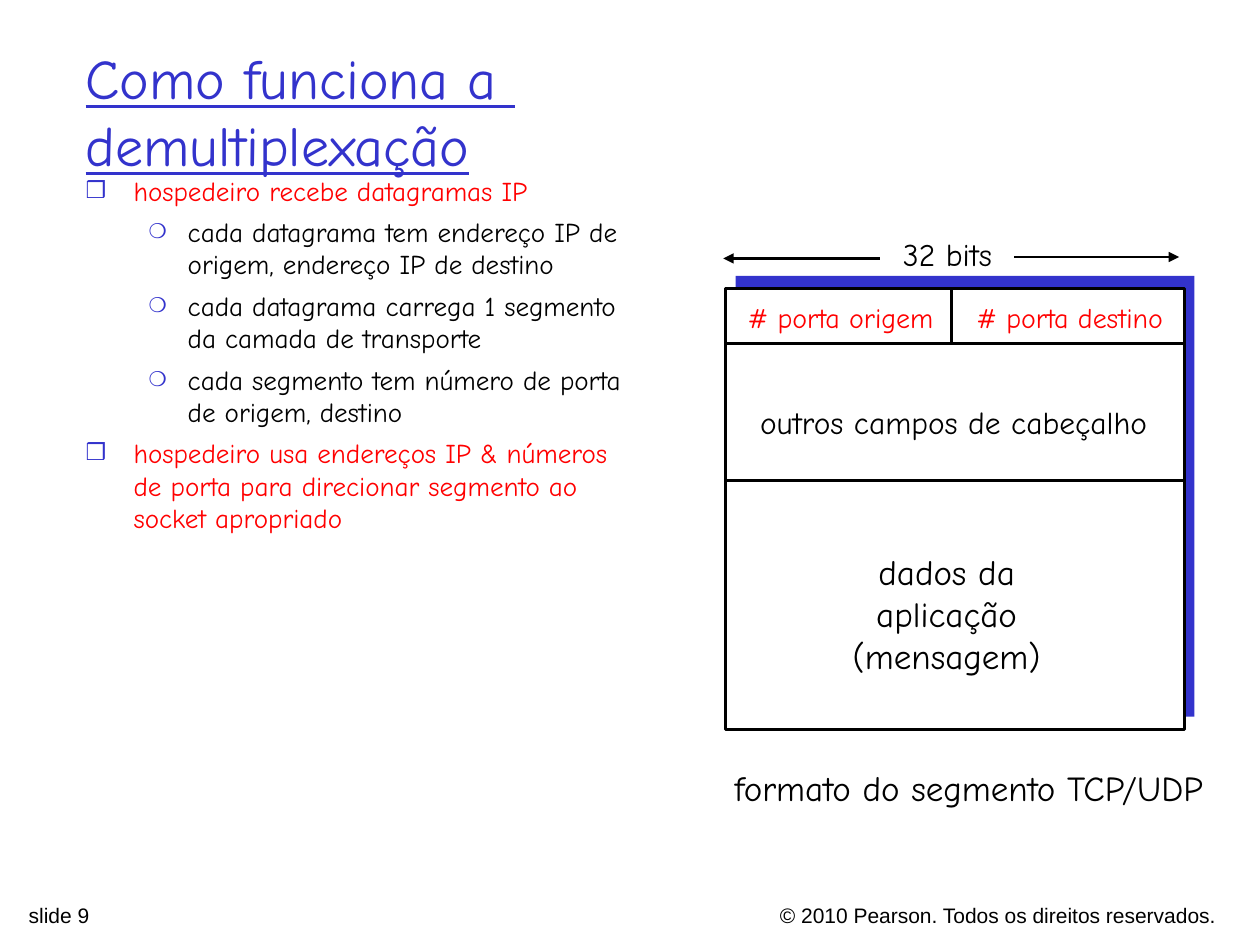
"""Build the slide on how demultiplexing works, with a TCP/UDP segment diagram."""
from lxml.etree import SubElement
from pptx import Presentation
from pptx.dml.color import RGBColor
from pptx.enum.shapes import MSO_CONNECTOR as Link, MSO_SHAPE as Preset
from pptx.enum.text import MSO_ANCHOR as Anchor, MSO_AUTO_SIZE as AutoSize, PP_ALIGN as Align
from pptx.oxml.ns import qn
from pptx.util import Cm, Pt

COLORS = {"blue": "3333CC", "red": "FF0000", "black": "000000", "white": "FFFFFF"}
FONT = "Comic Neue"


def style(para, size, color, name=FONT, align=Align.LEFT):
    para.alignment = align
    for span in para.runs:
        span.font.name = name
        span.font.size = Pt(size)
        span.font.color.rgb = RGBColor.from_string(COLORS[color])


def place(box, left, top, width, height):
    box.left, box.top, box.width, box.height = Cm(left), Cm(top), Cm(width), Cm(height)


deck = Presentation()
deck.slide_width, deck.slide_height = Cm(25.4), Cm(19.05)
page = deck.slides.add_slide(deck.slide_layouts[1])

segment_left, segment_top, segment_width, segment_height = 14.63, 5.82, 9.25, 8.89
segment_right = segment_left + segment_width
for left, top, fill, outline in [
    (14.83, 5.56, "blue", None),
    (segment_left, segment_top, "white", "black"),
]:
    block = page.shapes.add_shape(
        Preset.RECTANGLE, Cm(left), Cm(top), Cm(segment_width), Cm(segment_height))
    block.shadow.inherit = False
    block.fill.solid()
    block.fill.fore_color.rgb = RGBColor.from_string(COLORS[fill])
    if outline:
        block.line.color.rgb = RGBColor.from_string(COLORS[outline])
        block.line.width = Pt(1.5)
    else:
        block.line.fill.background()

title = page.shapes.title
place(title, 1.47, 0.64, 21.59, 3.18)
title.text_frame.text = "Como funciona a \vdemultiplexação"
title.text_frame.auto_size = AutoSize.NONE
title.text_frame.vertical_anchor = Anchor.MIDDLE
style(title.text_frame.paragraphs[0], 32, "blue")
for span in title.text_frame.paragraphs[0].runs:
    span.font.underline = True

points = [
    (0, "hospedeiro recebe datagramas IP"),
    (1, "cada datagrama tem endereço IP de origem, endereço IP de destino"),
    (1, "cada datagrama carrega 1 segmento da camada de transporte"),
    (1, "cada segmento tem número de porta de origem, destino"),
    (0, "hospedeiro usa endereços IP & números de porta para direcionar segmento ao socket apropriado"),
]
levels = [("❒", 85, "red", 0.97, 0.97), ("❍", 75, "black", 2.06, 0.79)]
body = page.placeholders[1]
place(body, 1.47, 3.38, 11.43, 7.75)
body.text_frame.text = "\n".join(text for level, text in points)
body.text_frame.auto_size = AutoSize.NONE
for index, (para, (level, text)) in enumerate(zip(body.text_frame.paragraphs, points)):
    symbol, scale, color, margin, hanging = levels[level]
    para.level = level
    props = para._p.get_or_add_pPr()
    props.set("marL", str(Cm(margin)))
    props.set("indent", str(-Cm(hanging)))
    bullet_color = SubElement(props, qn("a:buClr"))
    SubElement(bullet_color, qn("a:srgbClr"), val=COLORS["blue"])
    SubElement(props, qn("a:buSzPct"), val=str(scale * 1000))
    SubElement(props, qn("a:buChar"), char=symbol)
    para.space_before = Pt(5 if index else 0)
    style(para, 15.5, color)

row_tops = [6.93, 9.68]
divider = 19.18
lines = [(segment_left, top, segment_right, top, False) for top in row_tops]
lines += [
    (divider, row_tops[0], divider, segment_top, False),
    (20.45, 5.18, 23.77, 5.18, True),
    (17.73, 5.21, 14.58, 5.21, True),
]
for x1, y1, x2, y2, arrow in lines:
    line = page.shapes.add_connector(Link.STRAIGHT, Cm(x1), Cm(y1), Cm(x2), Cm(y2))
    line.line.color.rgb = RGBColor.from_string(COLORS["black"])
    line.line.width = Pt(1.5)
    if arrow:
        SubElement(line.line._get_or_add_ln(), qn("a:tailEnd"), type="triangle")
    SubElement(line._element.spPr, qn("a:effectLst"))

labels = [
    ("# porta origem", 14.81, 5.94, 4.27, 0.94, 16, "red", FONT, Align.CENTER),
    ("# porta destino", 19.43, 5.94, 4.27, 0.94, 16, "red", FONT, Align.CENTER),
    ("32 bits", 17.85, 4.62, 2.5, 1.02, 18, "black", FONT, Align.CENTER),
    ("outros campos de cabeçalho", 15.06, 8, 8.33, 1.02, 18, "black", FONT, Align.CENTER),
    ("dados da\naplicação\n(mensagem)", 16.94, 10.97, 4.29, 2.79, 20, "black", FONT, Align.CENTER),
    ("formato do segmento TCP/UDP", 14.48, 15.32, 10.11, 1.12, 20, "black", FONT, Align.CENTER),
    ("slide 9", 0.33, 18.06, 8.94, 0.6, 12, "black", "Arial", Align.LEFT),
    ("© 2010 Pearson. Todos os direitos reservados.", 11.79, 18.06, 12.98, 0.6, 12, "black", "Arial", Align.RIGHT),
]
for text, left, top, width, height, size, color, name, align in labels:
    box = page.shapes.add_textbox(Cm(left), Cm(top), Cm(width), Cm(height))
    box.text_frame.text = text
    box.text_frame.word_wrap = name == "Arial"
    if not box.text_frame.word_wrap:
        box.text_frame.auto_size = AutoSize.SHAPE_TO_FIT_TEXT
    for para in box.text_frame.paragraphs:
        style(para, size, color, name, align)

deck.save("out.pptx")
